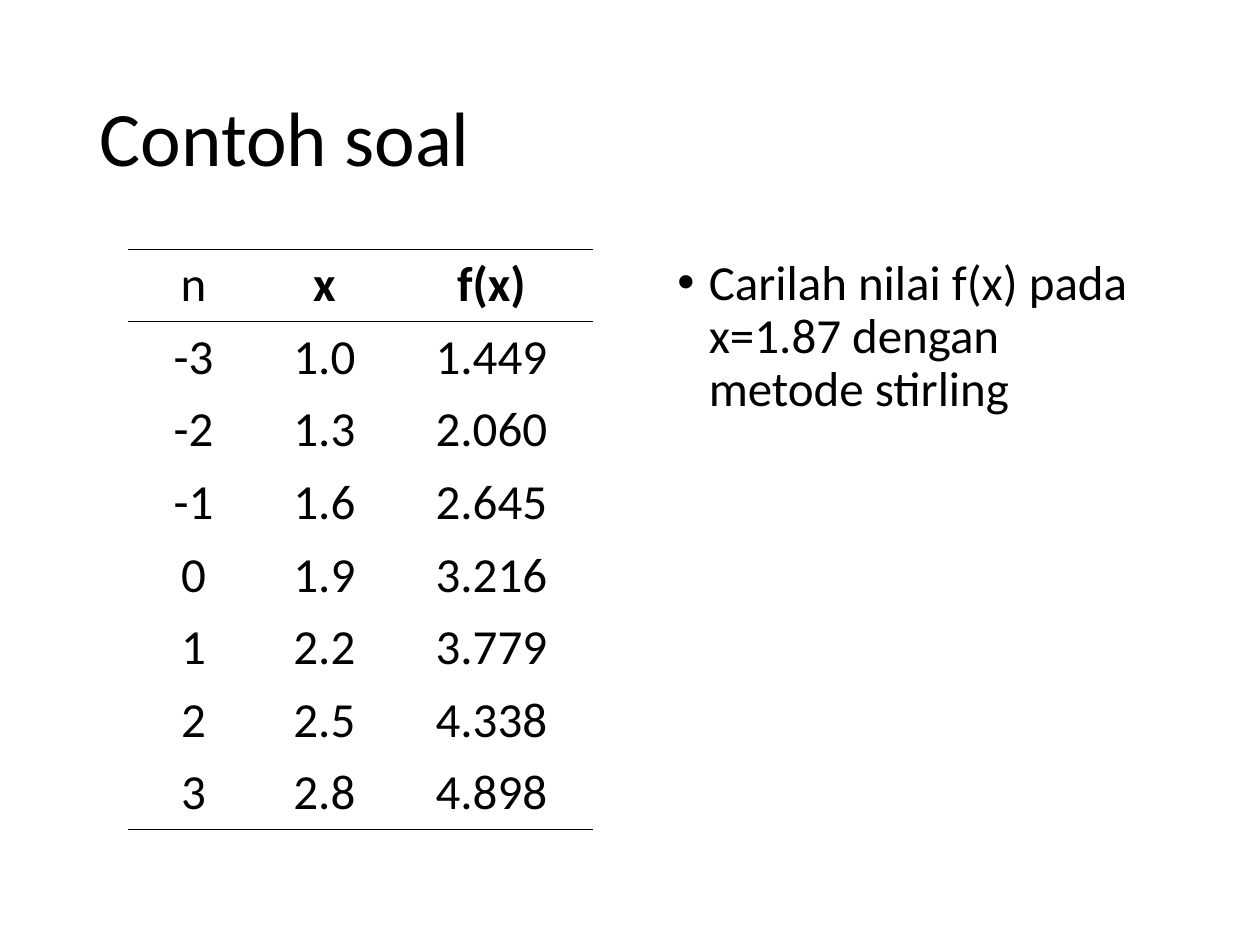
"""Build the worked-example slide with a value table and a question."""
from lxml import etree
from pptx import Presentation
from pptx.dml.color import RGBColor
from pptx.enum.text import MSO_ANCHOR, PP_ALIGN
from pptx.oxml.ns import qn
from pptx.util import Emu, Pt

PX = 914400 // 126
BLACK = RGBColor(0x00, 0x00, 0x00)
FONT = "Calibri"
CENTER, LEFT = PP_ALIGN.CENTER, PP_ALIGN.LEFT
MIDDLE, TOP = MSO_ANCHOR.MIDDLE, MSO_ANCHOR.TOP
RULE_WIDTH = Pt(0.45)
COLUMN_WIDTHS = (131, 131, 203)
TABLE_HEIGHT = 580
VALUES = (
    ("n", "x", "f(x)"),
    ("-3", "1.0", "1.449"),
    ("-2", "1.3", "2.060"),
    ("-1", "1.6", "2.645"),
    ("0", "1.9", "3.216"),
    ("1", "2.2", "3.779"),
    ("2", "2.5", "4.338"),
    ("3", "2.8", "4.898"),
)


def px(length):
    return Emu(length * PX)


def add_run(paragraph, text, size, align, bold=False):
    paragraph.alignment = align
    run = paragraph.add_run()
    run.text = text
    run.font.name = FONT
    run.font.size = Pt(size)
    run.font.bold = bold
    run.font.color.rgb = BLACK


def set_title(slide, text):
    title = slide.shapes.title
    title.left, title.top, title.width, title.height = map(px, (87, 50, 1087, 183))
    frame = title.text_frame
    frame.word_wrap = True
    frame.vertical_anchor = MIDDLE
    paragraph = frame.paragraphs[0]
    paragraph.line_spacing = 0.9
    add_run(paragraph, text, 44, LEFT)


def set_borders(cell, ruled_sides):
    properties = cell._tc.get_or_add_tcPr()
    for side in "LRTB":
        line = etree.SubElement(properties, qn(f"a:ln{side}"), w=str(RULE_WIDTH))
        if side in ruled_sides:
            fill = etree.SubElement(line, qn("a:solidFill"))
            etree.SubElement(fill, qn("a:srgbClr"), val=str(BLACK))
        else:
            etree.SubElement(line, qn("a:noFill"))


def add_value_table(slide):
    last_row = len(VALUES) - 1
    ruled_sides = {0: "TB", 1: "T", last_row: "B"}
    table = slide.shapes.add_table(
        len(VALUES), len(COLUMN_WIDTHS), px(128), px(249),
        px(sum(COLUMN_WIDTHS)), px(TABLE_HEIGHT)).table
    table.first_row = False
    table.horz_banding = False
    for column, width in zip(table.columns, COLUMN_WIDTHS):
        column.width = px(width)
    for row_index, values in enumerate(VALUES):
        for column_index, value in enumerate(values):
            cell = table.cell(row_index, column_index)
            set_borders(cell, ruled_sides.get(row_index, ""))
            cell.fill.background()
            is_bold = row_index == 0 and column_index > 0
            add_run(cell.text_frame.paragraphs[0], value, 28, CENTER, is_bold)


def add_question(slide, text):
    question = slide.shapes.add_textbox(px(665), px(252), px(508), px(534))
    frame = question.text_frame
    frame.word_wrap = True
    frame.vertical_anchor = TOP
    paragraph = frame.paragraphs[0]
    paragraph.line_spacing = 0.9
    paragraph.space_before = Pt(10)
    add_run(paragraph, text, 28, LEFT)
    properties = paragraph._p.get_or_add_pPr()
    indent = Pt(18)
    properties.set("marL", str(indent))
    properties.set("indent", str(-indent))
    color = etree.SubElement(properties, qn("a:buClr"))
    etree.SubElement(color, qn("a:srgbClr"), val=str(BLACK))
    etree.SubElement(properties, qn("a:buFont"), typeface="Arial")
    etree.SubElement(properties, qn("a:buChar"), char="•")


def main():
    presentation = Presentation()
    presentation.slide_width = px(1260)
    presentation.slide_height = px(945)
    slide = presentation.slides.add_slide(presentation.slide_layouts[5])
    set_title(slide, "Contoh soal")
    add_value_table(slide)
    add_question(slide, "Carilah nilai f(x) pada x=1.87 dengan metode stirling")
    presentation.save("out.pptx")


if __name__ == "__main__":
    main()
